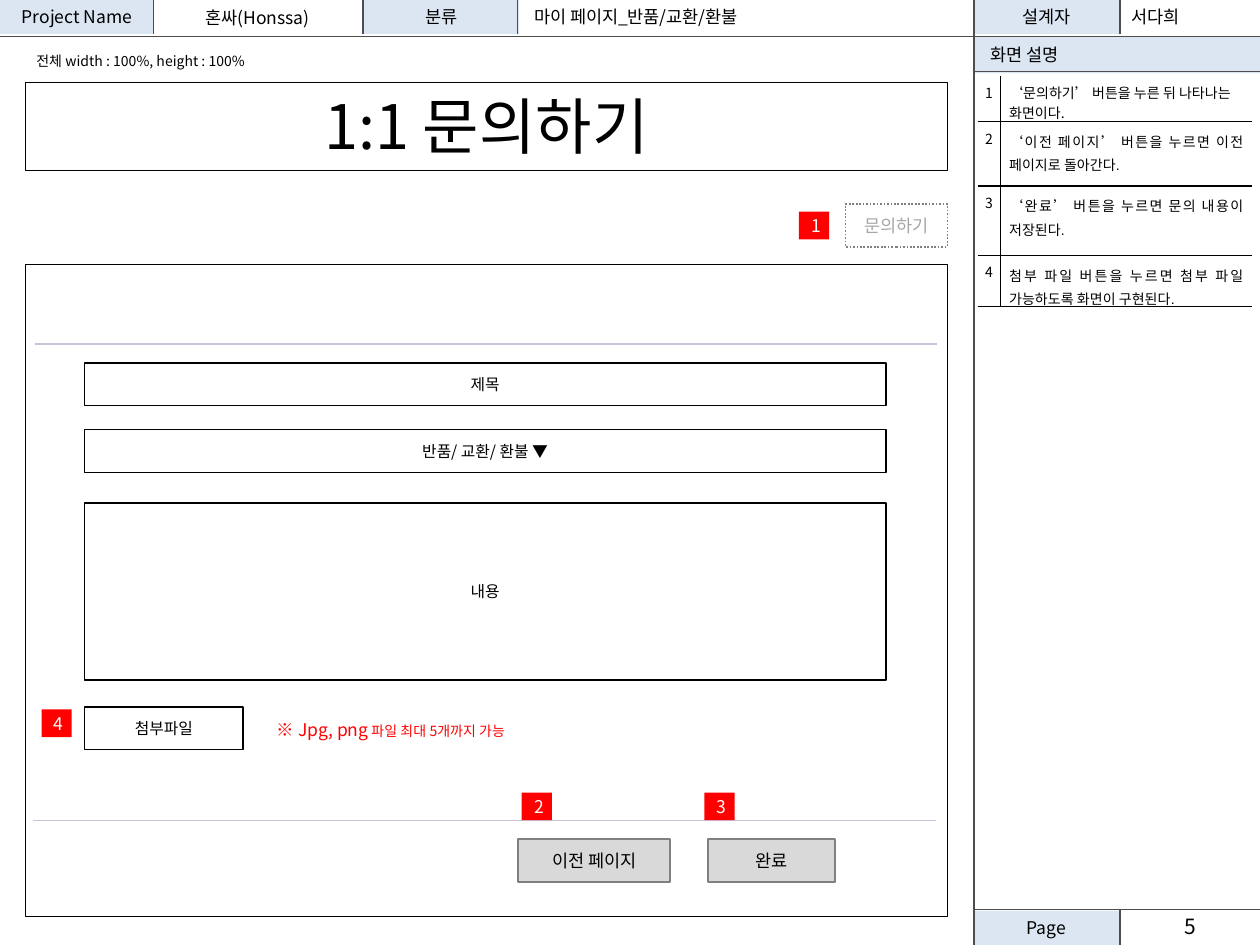
from lxml import etree
from pptx import Presentation
from pptx.dml.color import RGBColor
from pptx.enum.dml import MSO_LINE
from pptx.enum.shapes import MSO_CONNECTOR, MSO_SHAPE
from pptx.enum.text import MSO_ANCHOR, PP_ALIGN
from pptx.oxml.ns import qn
from pptx.util import Inches, Pt

RECT = MSO_SHAPE.RECTANGLE
FLOW = MSO_SHAPE.FLOWCHART_PROCESS
LINE = MSO_CONNECTOR.STRAIGHT
DOT = MSO_LINE.ROUND_DOT
TOP, MID = MSO_ANCHOR.TOP, MSO_ANCHOR.MIDDLE
LEFT, MID_X, FULL = PP_ALIGN.LEFT, PP_ALIGN.CENTER, PP_ALIGN.JUSTIFY
FONT = "Noto Sans CJK KR"
BLACK, WHITE, RED = "000000", "FFFFFF", "FF0000"
BLUE, GRAY, DARK, PALE = "DCE6F2", "D9D9D9", "808080", "CCC1DA"


def rgb(code):
    return RGBColor.from_string(code)


def write(frame, runs, align=MID_X, color=BLACK, face=FONT):
    para = frame.paragraphs[0]
    para.alignment = align
    for text, size in runs:
        run = para.add_run()
        run.text = text
        font = run.font
        font.size = Pt(size)
        font.name = face
        font.color.rgb = rgb(color)
        east = etree.SubElement(font._element, qn("a:ea"))
        east.set("typeface", FONT)
    return para


def box(place, text="", size=10, fill=None, edge=None, width=1, color=BLACK, kind=RECT):
    shape = slide.shapes.add_shape(kind, *[Inches(v) for v in place])
    shape.shadow.inherit = False
    if fill:
        shape.fill.solid()
        shape.fill.fore_color.rgb = rgb(fill)
    else:
        shape.fill.background()
    if edge:
        shape.line.color.rgb = rgb(edge)
        shape.line.width = Pt(width)
    else:
        shape.line.fill.background()
    if text:
        frame = shape.text_frame
        frame.word_wrap = True
        frame.vertical_anchor = MID
        write(frame, [(text, size)], color=color)
    return shape


deck = Presentation()
deck.slide_width = Inches(10)
deck.slide_height = Inches(7.5)
slide = deck.slides.add_slide(deck.slide_layouts[6])

for left, top, width, height, text in [
    (7.73, 7.23, 1.15, 0.27, "Page"),
    (7.73, 0, 1.15, 0.27, "설계자"),
    (7.73, 0.29, 2.27, 0.29, " 화면 설명"),
    (2.89, 0, 1.23, 0.27, "분류"),
    (0, 0, 1.22, 0.27, "Project Name"),
]:
    label = box((left, top, width, height), text, fill=BLUE)
    if width > 2:
        label.text_frame.paragraphs[0].alignment = LEFT

for top, height in [(0.65, 0.7), (2.1, 5.17)]:
    box((0.2, top, 7.32, height), edge=BLACK, width=0.25, kind=FLOW)

rules = [
    (8.89, 7.22, 8.89, 7.5),
    (0, 0.29, 10, 0.29),
    (7.73, 0.57, 10, 0.57),
    (7.73, 0, 7.73, 7.5),
    (7.73, 7.22, 10, 7.22),
]
rules += [(x, 0, x, 0.27) for x in (1.22, 2.88, 4.11, 8.89)]
splits = [(0.28, 2.73, 7.44, 2.73), (0.26, 6.51, 7.43, 6.51)]
for color, group in [("4D4D4D", rules), (PALE, splits)]:
    for ends in group:
        rule = slide.shapes.add_connector(LINE, *[Inches(v) for v in ends])
        rule.line.color.rgb = rgb(color)
        rule.line.width = Pt(0.75)
        etree.SubElement(rule._element.spPr, qn("a:effectLst"))

for place, runs, align, color, anchor in [
    ((1.22, 0.01, 1.65, 0.25), [("혼싸(Honssa)", 10)], MID_X, BLACK, MID),
    ((8.88, 0, 1.02, 0.27), [("서다희", 10)], LEFT, BLACK, TOP),
    ((4.14, 0, 2.99, 0.27), [("마이 페이지_반품/교환/환불", 10)], LEFT, BLACK, TOP),
    ((0.2, 0.65, 7.32, 0.69), [("1:1 문의하기", 35)], MID_X, BLACK, TOP),
    ((8.89, 7.2, 1.12, 0.3), [("5", 12)], MID_X, BLACK, TOP),
    ((0.19, 0.37, 2.35, 0.37), [("전체 width : 100%, height : 100%", 8)], LEFT, BLACK, TOP),
    ((2.1, 5.66, 3.24, 0.27), [("※ Jpg, png", 10), (" 파일 최대 5개까지 가능", 8)], LEFT, RED, TOP),
]:
    frame = slide.shapes.add_textbox(*[Inches(v) for v in place]).text_frame
    frame.word_wrap = True
    frame.vertical_anchor = anchor
    write(frame, runs, align, color)

for top, width, height, text in [
    (2.88, 6.36, 0.34, "제목"),
    (3.41, 6.36, 0.34, "반품/ 교환/ 환불 ▼"),
    (3.99, 6.36, 1.41, "내용"),
    (5.61, 1.26, 0.34, "첨부파일"),
]:
    box((0.67, top, width, height), text, 9, WHITE, BLACK)

for left, width, text in [(4.11, 1.21, "이전 페이지"), (5.62, 1.01, "완료")]:
    box((left, 6.66, width, 0.34), text, fill=GRAY, edge=DARK)

ask = box((6.71, 1.62, 0.81, 0.34), "문의하기", fill=WHITE, edge=DARK, color="A6A6A6")
ask.line.dash_style = DOT

badges = [(6.34, 1.68), (4.14, 6.29), (5.59, 6.29), (0.33, 5.63)]
for num, (left, top) in enumerate(badges, 1):
    box((left, top, 0.24, 0.22), str(num), fill=RED, color=WHITE)

notes = [
    (0.36, "‘문의하기’ 버튼을 누른 뒤 나타나는 화면이다."),
    (0.51, "‘이전 페이지’ 버튼을 누르면 이전 페이지로 돌아간다."),
    (0.55, "‘완료’ 버튼을 누르면 문의 내용이 저장된다."),
    (0.4, "첨부 파일 버튼을 누르면 첨부 파일 가능하도록 화면이 구현된다."),
]
area = [Inches(v) for v in (7.76, 0.6, 2.18, 1.82)]
table = slide.shapes.add_table(len(notes), 2, *area).table
table.first_row = False
table.horz_banding = False
table.columns[0].width = Inches(0.18)
table.columns[1].width = Inches(2)
for row, (height, text) in enumerate(notes):
    table.rows[row].height = Inches(height)
    for col, words in enumerate([str(row + 1), text]):
        cell = table.cell(row, col)
        cell.margin_left = cell.margin_right = Inches([0.04, 0.07][col])
        cell.margin_top = cell.margin_bottom = Inches(0.05)
        body = col == 1 and row > 0
        align = FULL if body else [MID_X, LEFT][col]
        para = write(cell.text_frame, [(words, 8)], align, face="Arial" if body else FONT)
        if body:
            para.line_spacing = 1.15
        props = cell._tc.get_or_add_tcPr()
        shown = {["lnR", "lnL"][col], "lnB"} | ({"lnT"} if row else set())
        for side in ("lnL", "lnR", "lnT", "lnB"):
            edge = etree.SubElement(props, qn("a:" + side), w=str(Pt(0.75)))
            if side in shown:
                paint = etree.SubElement(edge, qn("a:solidFill"))
                etree.SubElement(paint, qn("a:srgbClr"), val=BLACK)
            else:
                etree.SubElement(edge, qn("a:noFill"))
        cell.fill.background()

deck.save("out.pptx")
